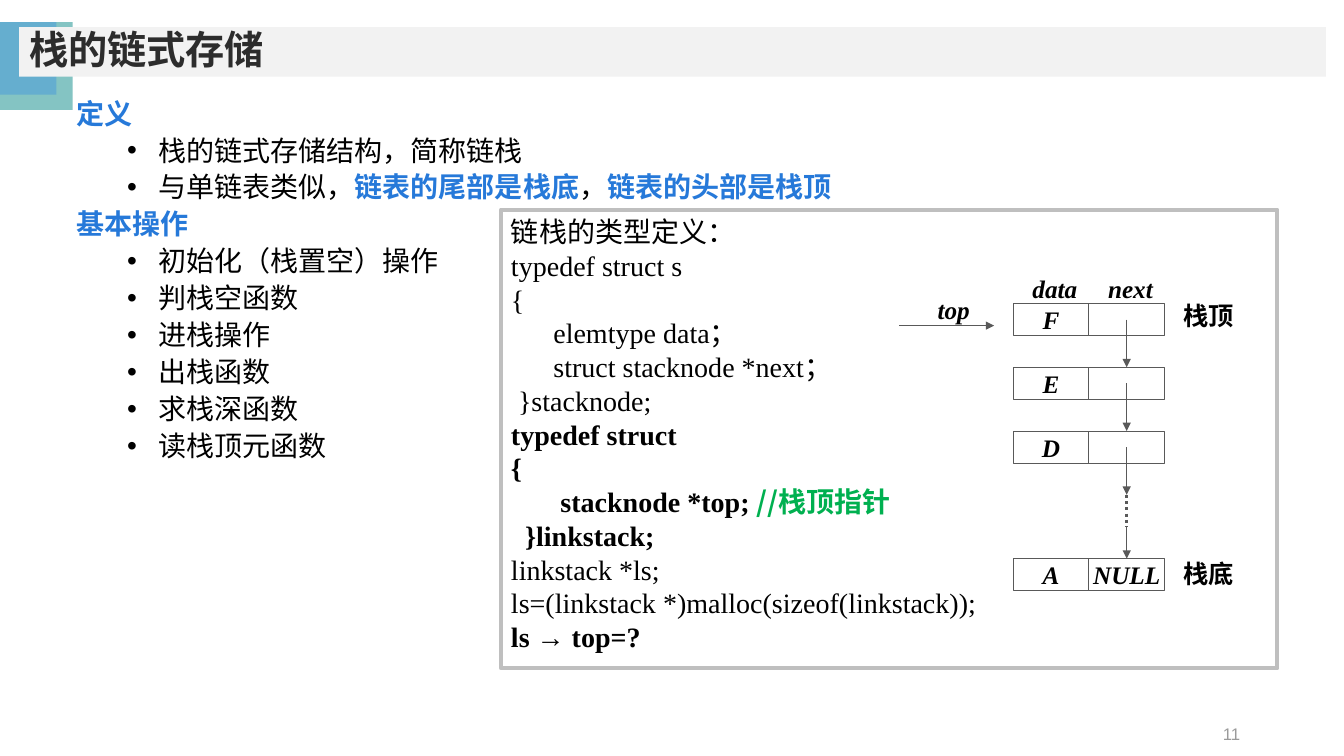
from lxml.etree import SubElement
from pptx import Presentation
from pptx.dml.color import RGBColor
from pptx.enum.dml import MSO_LINE
from pptx.enum.shapes import MSO_CONNECTOR, MSO_SHAPE
from pptx.enum.text import MSO_ANCHOR, MSO_AUTO_SIZE, PP_ALIGN
from pptx.oxml.ns import qn
from pptx.util import Inches, Pt

TITLE = "栈的链式存储"
PAGE_NUMBER = "11"
OUTLINE = [
    ("定义", [
        [("栈的链式存储结构，简称链栈", False)],
        [("与单链表类似，", False), ("链表的尾部是栈底", True),
         ("，", False), ("链表的头部是栈顶", True)],
    ]),
    ("基本操作", [
        [(operation, False)] for operation in (
            "初始化（栈置空）操作", "判栈空函数", "进栈操作",
            "出栈函数", "求栈深函数", "读栈顶元函数")
    ]),
]
CODE = [
    (0, False, "链栈的类型定义：", ""),
    (0, False, "typedef struct s", ""),
    (0, False, "{", ""),
    (6, False, "elemtype data；", ""),
    (6, False, "struct stacknode *next；", ""),
    (1, False, "}stacknode;", ""),
    (0, True, "typedef struct", ""),
    (0, True, "{", ""),
    (7, True, "stacknode *top; ", "//栈顶指针"),
    (2, True, "}linkstack;", ""),
    (0, False, "linkstack *ls;", ""),
    (0, False, "ls=(linkstack *)malloc(sizeof(linkstack));", ""),
    (0, True, "ls → top=?", ""),
]
NODES = [(0, "F", ""), (1, "E", ""), (2, "D", ""), (4, "A", "NULL")]
FIELD_LABELS = ["data", "next"]
END_LABELS = [(2.98, "栈顶"), (5.54, "栈底")]

THEME = {
    "teal": "84C4C3", "sky": "65AECF", "band": "F2F2F2", "title": "2C2C2C",
    "accent": "2679D9", "ink": "000000", "comment": "00B050", "page": "9B9B9B",
    "rule": "595959", "frame": "BFBFBF", "paper": "FFFFFF",
    "title_size": 28, "text_size": 20, "label_size": 18, "page_size": 12,
    "sans": "Arial", "chinese": "Noto Sans CJK SC", "serif": "Times New Roman",
}
SLIDE_WIDTH, SLIDE_HEIGHT = 13.33, 7.5
CELL_WIDTH, CELL_HEIGHT = 0.75, 0.32
NODE_LEFT, NODE_TOP, NODE_PITCH = 10.05, 3.01, 0.633
POINTER_X = NODE_LEFT + 1.5 * CELL_WIDTH
SPACE_WIDTH = 0.07


def color(name):
    return RGBColor.from_string(THEME[name])


def write(paragraph, text, size="text_size", font="serif", ink="ink",
          bold=False, italic=False, align=PP_ALIGN.LEFT, spacing=None):
    paragraph.alignment = align
    paragraph.space_before = paragraph.space_after = Pt(0)
    if spacing:
        paragraph.line_spacing = spacing
    run = paragraph.add_run()
    run.text = text
    run.font.size = Pt(THEME[size])
    run.font.name = THEME[font]
    run.font.bold, run.font.italic = bold, italic
    run.font.color.rgb = color(ink)
    properties = run.font._element
    SubElement(properties, qn("a:ea"), typeface=THEME["chinese"])


def indent(paragraph, left, hanging=0, bullet=None):
    properties = paragraph._p.get_or_add_pPr()
    properties.set("marL", str(Inches(left)))
    properties.set("indent", str(Inches(-hanging)))
    if bullet:
        SubElement(properties, qn("a:buFont"), typeface=THEME["sans"])
        SubElement(properties, qn("a:buChar"), char=bullet)
    else:
        SubElement(properties, qn("a:buNone"))


def place(shape, left, top, width, height):
    shape.left, shape.top = Inches(left), Inches(top)
    shape.width, shape.height = Inches(width), Inches(height)


def prepare(shape, anchor=MSO_ANCHOR.TOP, inset=True):
    frame = shape.text_frame
    frame.word_wrap = True
    frame.auto_size = MSO_AUTO_SIZE.NONE
    frame.vertical_anchor = anchor
    if not inset:
        frame.margin_left = frame.margin_right = 0
        frame.margin_top = frame.margin_bottom = 0
    return frame


def next_paragraph(frame):
    first = frame.paragraphs[0]
    return frame.add_paragraph() if first.runs else first


def add_box(slide, left, top, width, height, fill=None, line=None, weight=0.75):
    box = slide.shapes.add_shape(MSO_SHAPE.RECTANGLE, Inches(left), Inches(top),
                                 Inches(width), Inches(height))
    box.shadow.inherit = False
    if fill:
        box.fill.solid()
        box.fill.fore_color.rgb = color(fill)
    else:
        box.fill.background()
    if line:
        box.line.color.rgb = color(line)
        box.line.width = Pt(weight)
    else:
        box.line.fill.background()
    return box


def add_label(slide, text, left, top, width=0.56, height=0.35, italic=True):
    label = slide.shapes.add_textbox(Inches(left), Inches(top), Inches(width), Inches(height))
    frame = prepare(label, inset=False)
    write(frame.paragraphs[0], text, size="label_size", bold=True, italic=italic)


def add_line(slide, start, end, weight=0.75, dash=None, arrow=True, target=None):
    line = slide.shapes.add_connector(MSO_CONNECTOR.STRAIGHT, *map(Inches, start + end))
    if target is not None:
        line.end_connect(target, 0)
    line.line.color.rgb = color("rule")
    line.line.width = Pt(weight)
    if dash:
        line.line.dash_style = dash
    if arrow:
        SubElement(line.line._get_or_add_ln(), qn("a:tailEnd"), type="triangle")
    SubElement(line._element.spPr, qn("a:effectLst"))


def add_heading(slide):
    title = slide.shapes.title
    for side_x, side_y, fill in ((0.72, 0.87, "teal"), (0.56, 0.72, "sky")):
        square = add_box(slide, 0, 0.22, side_x, side_y, fill)
        title._element.addprevious(square._element)
    place(title, 0.19, 0.27, 12.96, 0.49)
    title.fill.solid()
    title.fill.fore_color.rgb = color("band")
    frame = prepare(title, MSO_ANCHOR.MIDDLE)
    write(frame.paragraphs[0], TITLE, size="title_size", font="sans",
          ink="title", bold=True, spacing=0.9)


def add_outline(slide):
    body = slide.placeholders[1]
    place(body, 0.66, 0.87, 7.93, 3.89)
    frame = prepare(body)
    for heading, items in OUTLINE:
        paragraph = next_paragraph(frame)
        write(paragraph, heading, font="chinese", ink="accent", bold=True, spacing=Pt(26.4))
        indent(paragraph, 0)
        for item in items:
            paragraph = next_paragraph(frame)
            paragraph.level = 1
            for text, strong in item:
                write(paragraph, text, font="chinese", ink="accent" if strong else "ink",
                      bold=strong, spacing=Pt(26.4))
            indent(paragraph, 0.81, 0.31, "•")


def add_code(slide):
    panel = add_box(slide, 4.97, 2.08, 7.7, 4.55, line="frame", weight=3)
    frame = prepare(panel)
    for spaces, strong, text, comment in CODE:
        paragraph = next_paragraph(frame)
        write(paragraph, text, bold=strong, spacing=Pt(24.1))
        if comment:
            write(paragraph, comment, font="chinese", ink="comment", bold=True,
                  spacing=Pt(24.1))
        indent(paragraph, spaces * SPACE_WIDTH)


def add_stack(slide):
    pointer_cells = {}
    for row, *values in NODES:
        for column, value in enumerate(values):
            cell = add_box(slide, NODE_LEFT + column * CELL_WIDTH, NODE_TOP + row * NODE_PITCH,
                           CELL_WIDTH, CELL_HEIGHT, "paper", "rule")
            if value:
                frame = prepare(cell, MSO_ANCHOR.MIDDLE, inset=False)
                write(frame.paragraphs[0], value, size="label_size", bold=True,
                      italic=True, align=PP_ALIGN.CENTER)
        pointer_cells[row] = cell
    for row in range(3):
        top = NODE_TOP + row * NODE_PITCH
        add_line(slide, (POINTER_X, top + CELL_HEIGHT / 2), (POINTER_X, top + NODE_PITCH),
                 target=pointer_cells.get(row + 1))
    gap_top = NODE_TOP + 3 * NODE_PITCH
    gap_middle = gap_top + NODE_PITCH / 2
    add_line(slide, (POINTER_X, gap_top), (POINTER_X, gap_middle), weight=2.25,
             dash=MSO_LINE.ROUND_DOT, arrow=False)
    add_line(slide, (POINTER_X, gap_middle), (POINTER_X, gap_top + NODE_PITCH),
             target=pointer_cells[4])
    add_line(slide, (8.92, 3.23), (9.86, 3.23))
    add_label(slide, "top", 9.3, 2.92)
    for column, text in enumerate(FIELD_LABELS):
        add_label(slide, text, 10.24 + column * CELL_WIDTH, 2.71)
    for top, text in END_LABELS:
        add_label(slide, text, 11.74, top, italic=False)


def add_page_number(slide):
    box = slide.shapes.add_textbox(Inches(9.4), Inches(7.09), Inches(3), Inches(0.37))
    frame = prepare(box, MSO_ANCHOR.MIDDLE)
    write(frame.paragraphs[0], PAGE_NUMBER, size="page_size", font="sans",
          ink="page", align=PP_ALIGN.RIGHT)


def main():
    presentation = Presentation()
    presentation.slide_width = Inches(SLIDE_WIDTH)
    presentation.slide_height = Inches(SLIDE_HEIGHT)
    slide = presentation.slides.add_slide(presentation.slide_layouts[1])
    add_heading(slide)
    add_page_number(slide)
    add_outline(slide)
    add_stack(slide)
    add_code(slide)
    presentation.save("out.pptx")


if __name__ == "__main__":
    main()
